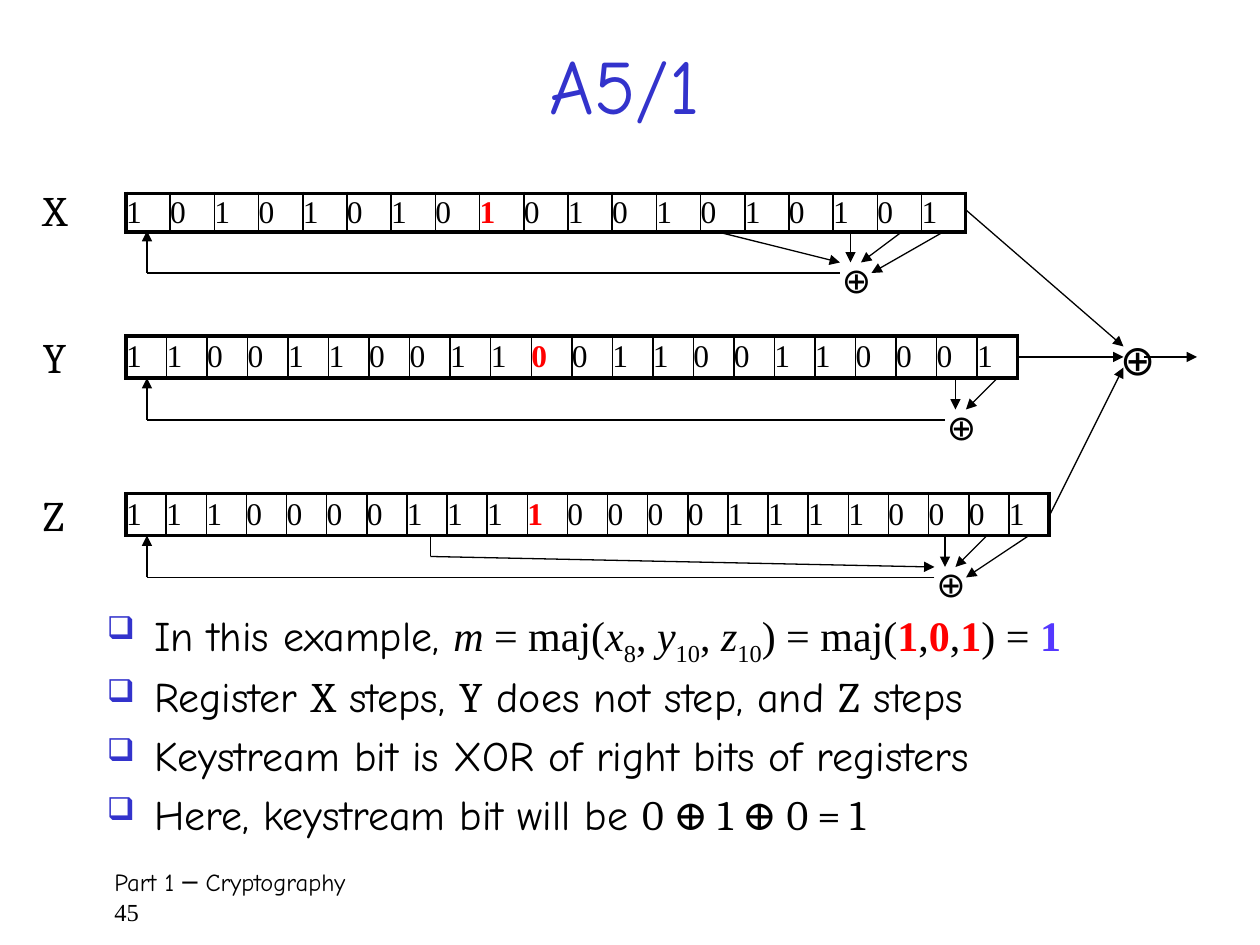
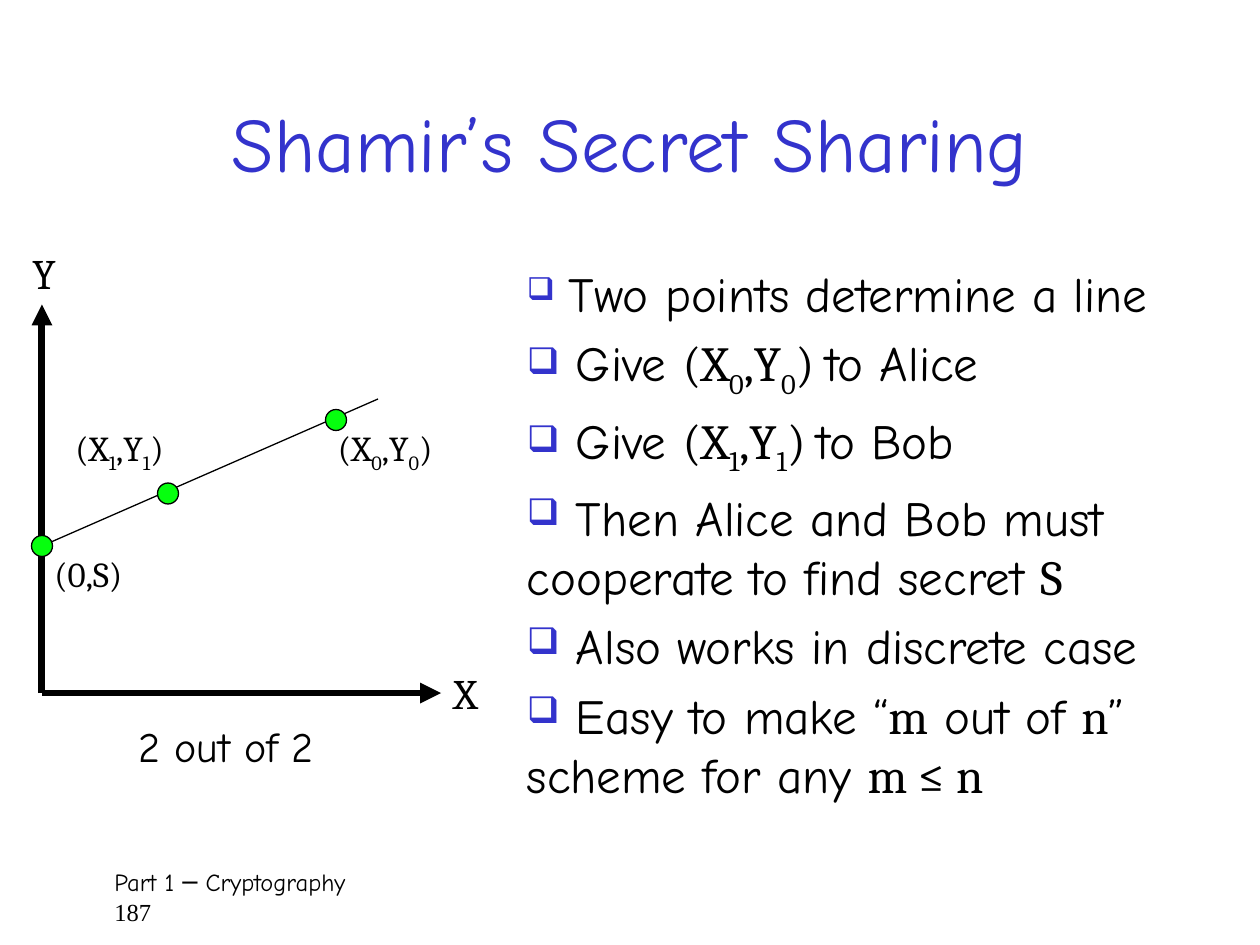
from dataclasses import dataclass
from typing import NamedTuple, Optional

import pptx
import pptx.dml.color
import pptx.enum.shapes
import pptx.enum.text
import pptx.oxml
import pptx.oxml.ns
import pptx.util
from pptx.slide import Slide

# Shared scale, colours and fonts
PX = pptx.util.Inches(1) // 120
RGB = pptx.dml.color.RGBColor
BLACK = RGB(0x00, 0x00, 0x00)
TITLE_BLUE = RGB(0x33, 0x33, 0xCC)
MAJORITY_BLUE = RGB(0x54, 0x37, 0xFF)
CLOCK_RED = RGB(0xFF, 0x00, 0x00)
POINT_GREEN = RGB(0x06, 0xFF, 0x0E)
HAND = "Comic Neue"
MATH = "Cambria"
SERIF = "Times New Roman"
ANCHOR = pptx.enum.text.MSO_ANCHOR
ALIGN = pptx.enum.text.PP_ALIGN
AUTO = pptx.enum.text.MSO_AUTO_SIZE


class Run(NamedTuple):
    """A stretch of text; unset fields follow the box."""
    text: str
    font: Optional[str] = None
    size: Optional[int] = None
    color: Optional[RGB] = None
    bold: bool = False
    italic: bool = False
    sub: bool = False


class Box(NamedTuple):
    left: int
    top: int
    width: int
    height: int

    def emu(self) -> list[int]:
        return [value * PX for value in self]


class Tap(NamedTuple):
    """An arrow from a register cell towards its XOR sign."""
    start_x: int
    end_x: int
    drop: int


@dataclass
class Register:
    name: str
    bits: str
    clock_bit: int
    bottom: int
    height: int
    width: int
    feedback_x: int
    output_y: int
    taps: list[Tap]


def element(xml: str):
    namespace = pptx.oxml.ns.nsdecls("a")
    return pptx.oxml.parse_xml(xml.replace(" NS", f" {namespace}", 1))


# Text
def add_bullet(paragraph, indent: int) -> None:
    props = paragraph._p.get_or_add_pPr()
    if indent:
        props.set("marL", str(indent * PX))
        props.set("indent", str(-indent * PX))
    props.append(element(f'<a:buClr NS><a:srgbClr val="{TITLE_BLUE}"/></a:buClr>'))
    props.append(element('<a:buSzPct NS val="75000"/>'))
    props.append(element('<a:buChar NS char="❑"/>'))


def fill_paragraph(paragraph, runs, font: str, size: int, color: RGB) -> None:
    for part in [Run(runs)] if isinstance(runs, str) else runs:
        run = paragraph.add_run()
        run.text = part.text
        run.font.name = part.font or font
        run.font.size = pptx.util.Pt(part.size or size)
        run.font.color.rgb = part.color or color
        run.font.bold = part.bold
        run.font.italic = part.italic
        if part.sub:
            run._r.get_or_add_rPr().set("baseline", "-25000")


def add_text(slide: Slide, box: Box, paragraphs: list, *, font: str = HAND,
             size: int = 24, color: RGB = BLACK, align=None, anchor=ANCHOR.TOP,
             wrap: bool = True, grow: bool = False, bullets: bool = False,
             indent: int = 0, line_spacing: Optional[float] = None,
             before: float = 0, after: float = 0,
             inset: Optional[int] = None) -> None:
    frame = slide.shapes.add_textbox(*box.emu()).text_frame
    frame.word_wrap = wrap
    frame.auto_size = AUTO.SHAPE_TO_FIT_TEXT if grow else AUTO.NONE
    frame.vertical_anchor = anchor
    if inset is not None:
        frame.margin_left = inset * PX
    for index, runs in enumerate(paragraphs):
        paragraph = frame.add_paragraph() if index else frame.paragraphs[0]
        if bullets:
            add_bullet(paragraph, indent)
        paragraph.alignment = align
        paragraph.line_spacing = line_spacing
        paragraph.space_before = pptx.util.Pt(before if index else 0)
        paragraph.space_after = pptx.util.Pt(after)
        fill_paragraph(paragraph, runs, font, size, color)


def add_label(slide: Slide, box: Box, runs, font: str = MATH, size: int = 24) -> None:
    add_text(slide, box, [runs], font=font, size=size, wrap=False, grow=True)


def start_slide(deck, title: str, title_box: Box, number: int) -> Slide:
    slide = deck.slides.add_slide(deck.slide_layouts[6])
    add_text(slide, Box(90, 820, 1030, 60),
             ["Part 1 ─ Cryptography", [Run(str(number), SERIF)]], size=14, inset=19)
    add_text(slide, title_box, [title], size=44, color=TITLE_BLUE,
             align=ALIGN.CENTER, anchor=ANCHOR.MIDDLE)
    return slide


# Lines
def add_line(slide: Slide, start: tuple[int, int], end: tuple[int, int],
             arrow: bool = True, weight: float = 0.75) -> None:
    line = slide.shapes.add_connector(
        pptx.enum.shapes.MSO_CONNECTOR.STRAIGHT,
        *[value * PX for value in (*start, *end)])
    line.line.color.rgb = BLACK
    line.line.width = pptx.util.Pt(weight)
    if arrow:
        line.line._get_or_add_ln().append(element('<a:tailEnd NS type="triangle"/>'))
    line._element.spPr.append(element("<a:effectLst NS/>"))


# Shift registers
REGISTER_LEFT = 120
FEEDBACK_X = 140
OUTPUT_X = 1070
OUTPUT_Y = 340
REGISTERS = [
    Register("X", "1010101010101010101", 8, 220, 37, 800, 800, 330,
             [Tap(680, 800, 30), Tap(810, 810, 30), Tap(860, 820, 30), Tap(900, 830, 40)]),
    Register("Y", "1100110011001100110001", 10, 360, 40, 850, 900, 340,
             [Tap(910, 910, 30), Tap(950, 920, 30)]),
    Register("Z", "11100001111000011110001", 10, 510, 40, 880, 890, 350,
             [Tap(900, 900, 30), Tap(940, 910, 30), Tap(980, 920, 40)]),
]


def set_borders(cell, first: bool, last: bool) -> None:
    thick, thin = pptx.util.Pt(2.25), pptx.util.Pt(1)
    weights = {"L": thick if first else thin, "R": thick if last else thin,
               "T": thick, "B": thick}
    props = cell._tc.get_or_add_tcPr()
    for side, weight in weights.items():
        props.append(element(
            f'<a:ln{side} NS w="{weight}"><a:solidFill><a:srgbClr val="{BLACK}"/>'
            f'</a:solidFill></a:ln{side}>'))


def add_bits(slide: Slide, register: Register) -> None:
    count = len(register.bits)
    box = Box(REGISTER_LEFT, register.bottom - register.height,
              register.width, register.height)
    if register.name == "X":
        box = box._replace(top=box.top + 1)
    table = slide.shapes.add_table(1, count, *box.emu()).table
    table.first_row = table.horz_banding = False
    for index, bit in enumerate(register.bits):
        table.columns[index].width = register.width * PX // count
        cell = table.cell(0, index)
        cell.margin_left = cell.margin_right = cell.margin_top = cell.margin_bottom = 0
        cell.vertical_anchor = ANCHOR.MIDDLE
        set_borders(cell, index == 0, index == count - 1)
        cell.fill.background()
        clocking = index == register.clock_bit
        fill_paragraph(cell.text_frame.paragraphs[0], [Run(bit, bold=clocking)],
                       SERIF, 18, CLOCK_RED if clocking else BLACK)


def add_register(slide: Slide, register: Register) -> None:
    bottom = register.bottom
    feedback_y = bottom + 40
    add_bits(slide, register)
    add_label(slide, Box(29, bottom - 50, 50, 60), register.name)
    add_label(slide, Box(register.feedback_x - 10, feedback_y - 20, 49, 52),
              "⊕", font=HAND, size=20)
    for tap in register.taps:
        add_line(slide, (tap.start_x, bottom), (tap.end_x, bottom + tap.drop))
    add_line(slide, (register.feedback_x, feedback_y), (FEEDBACK_X, feedback_y), arrow=False)
    add_line(slide, (FEEDBACK_X, feedback_y), (FEEDBACK_X, bottom))
    add_line(slide, (REGISTER_LEFT + register.width, bottom - 20),
             (OUTPUT_X, register.output_y))


def build_cipher_slide(deck) -> None:
    slide = start_slide(deck, "A5/1", Box(90, 40, 1010, 80), 45)

    def variable(name: str, index: str) -> list[Run]:
        return [Run(name, SERIF, italic=True), Run(index, SERIF, sub=True)]

    def bit(value: str, color: RGB = CLOCK_RED) -> Run:
        return Run(value, SERIF, color=color, bold=True)

    comma, bit_comma = Run(", ", SERIF), Run(",", SERIF)
    majority = [
        Run("In this example, "), Run("m", SERIF, italic=True), Run(" = maj(", SERIF),
        *variable("x", "8"), comma, *variable("y", "10"), comma, *variable("z", "10"),
        Run(") = maj(", SERIF), bit("1"), bit_comma, bit("0"), bit_comma, bit("1"),
        Run(") = ", SERIF), bit("1", MAJORITY_BLUE)]
    add_text(slide, Box(90, 580, 1020, 230), [
        majority,
        [Run("Register "), Run("X", MATH), Run(" steps, "), Run("Y", MATH),
         Run(" does not step, and "), Run("Z", MATH), Run(" steps")],
        "Keystream bit is XOR of right bits of registers",
        [Run("Here, keystream bit will be "), Run("0 ⊕ 1 ⊕ 0 = 1", MATH)],
    ], bullets=True, indent=45, line_spacing=0.8, before=4.8, after=6)

    for register in REGISTERS:
        add_register(slide, register)
    # Bent tap in the middle of Z
    add_line(slide, (410, 510), (410, 530), arrow=False)
    add_line(slide, (410, 530), (890, 540))
    # Keystream output
    add_label(slide, Box(1055, 312, 55, 60), "⊕", font=HAND)
    add_line(slide, (1090, OUTPUT_Y), (1140, OUTPUT_Y))


# Secret sharing
def share_point(index: str) -> list[Run]:
    return [Run("(X", MATH), Run(index, MATH, sub=True),
            Run(",Y", MATH), Run(index, MATH, sub=True), Run(")", MATH)]


def add_point(slide: Slide, left: int, top: int) -> None:
    point = slide.shapes.add_shape(pptx.enum.shapes.MSO_SHAPE.OVAL,
                                   *Box(left, top, 20, 20).emu())
    point.shadow.inherit = False
    point.fill.solid()
    point.fill.fore_color.rgb = POINT_GREEN
    point.line.color.rgb = BLACK
    point.line.width = pptx.util.Pt(0.75)


def build_sharing_slide(deck) -> None:
    slide = start_slide(deck, "Shamir’s Secret Sharing", Box(90, 60, 1020, 150), 187)

    # Axes, line and points
    origin = (40, 660)
    for axis_end in [(420, 660), (40, 290)]:
        add_line(slide, origin, axis_end, weight=4)
    add_line(slide, (40, 520), (360, 380), arrow=False)
    for left, top in [(310, 390), (150, 460), (30, 510)]:
        add_point(slide, left, top)
    add_label(slide, Box(310, 400, 124, 52), share_point("0"), size=20)
    add_label(slide, Box(60, 400, 124, 52), share_point("1"), size=20)
    add_label(slide, Box(40, 520, 96, 52), "(0,S)", size=20)
    add_label(slide, Box(420, 630, 50, 60), "X")
    add_label(slide, Box(19, 230, 50, 60), "Y")
    add_label(slide, Box(120, 680, 211, 68), "2 out of 2", font=HAND)

    # Explanation
    gifts = [[Run(" Give "), *share_point(index), Run(" ", MATH), Run(f"to {person}")]
             for index, person in [("0", "Alice"), ("1", "Bob")]]
    add_text(slide, Box(490, 245, 690, 515), [
        [Run(" ", size=24), Run("Two points determine a line")],
        *gifts,
        [Run(" Then Alice and Bob must cooperate to find secret "), Run("S", MATH)],
        " Also works in discrete case",
        [Run(" Easy to make “"), Run("m", MATH), Run(" out of "), Run("n", MATH),
         Run("” scheme for any "), Run("m ≤ n", MATH)],
    ], size=28, grow=True, bullets=True, after=6)


def main() -> None:
    deck = pptx.Presentation()
    deck.slide_width, deck.slide_height = 1200 * PX, 900 * PX
    build_cipher_slide(deck)
    build_sharing_slide(deck)
    deck.save("out.pptx")


if __name__ == "__main__":
    main()
